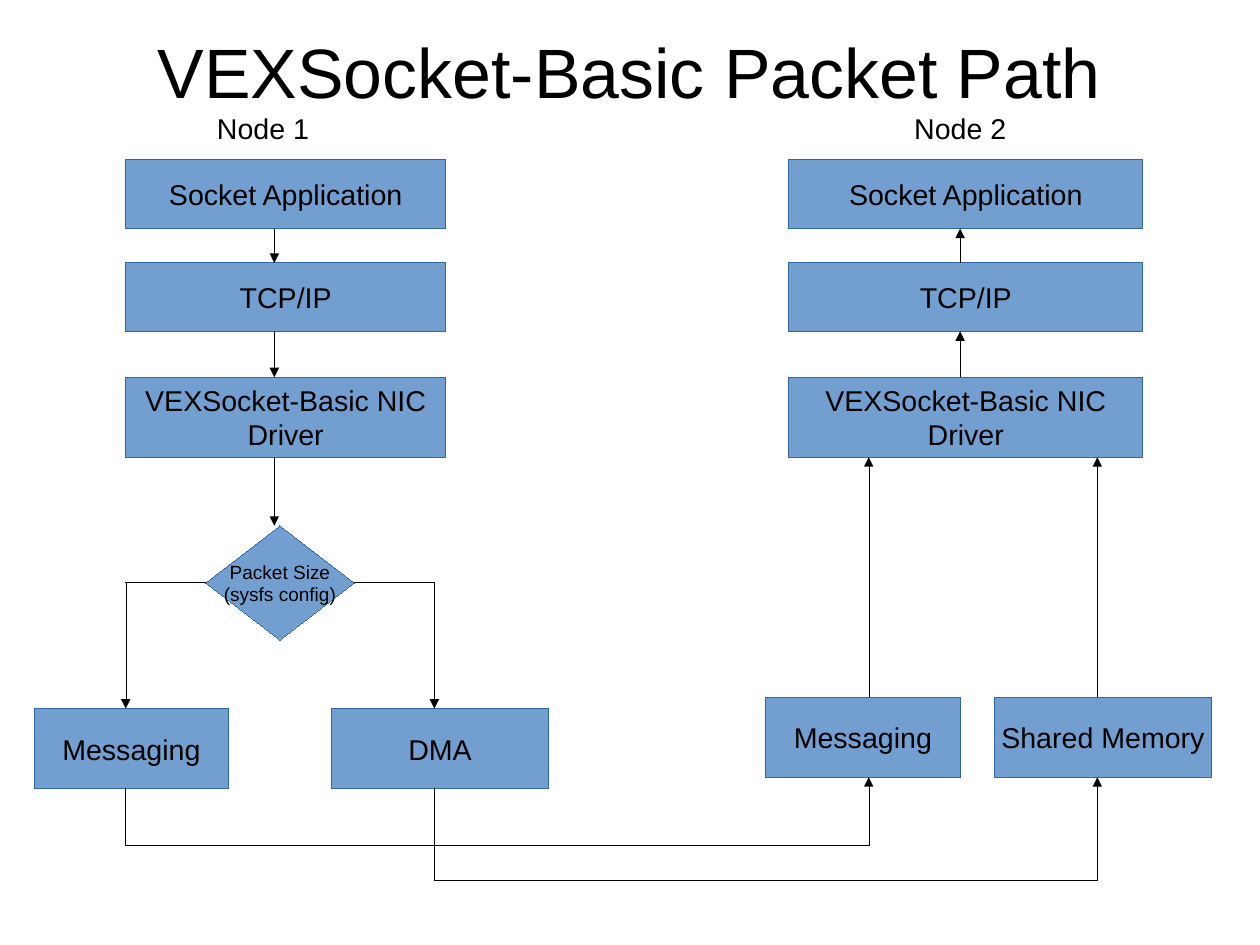
from itertools import pairwise

from lxml import etree
from pptx import Presentation
from pptx.dml.color import RGBColor
from pptx.enum.shapes import MSO_CONNECTOR, MSO_SHAPE
from pptx.enum.text import MSO_ANCHOR, PP_ALIGN
from pptx.oxml.ns import qn
from pptx.util import Cm, Pt

RECT, DIAMOND = MSO_SHAPE.RECTANGLE, MSO_SHAPE.DIAMOND
STRAIGHT = MSO_CONNECTOR.STRAIGHT
MIDDLE = MSO_ANCHOR.MIDDLE
LEFT, CENTER = PP_ALIGN.LEFT, PP_ALIGN.CENTER

BLACK = RGBColor(0x00, 0x00, 0x00)
BLUE = RGBColor(0x72, 0x9F, 0xCF)
DARK_BLUE = RGBColor(0x34, 0x65, 0xA4)
FONT = "Arial"
HAIRLINE = Pt(0.01)
STEP = Cm(2.54) // 10  # drawing grid: all boxes and arrows sit on it


def write(tf, text, size, align):
    tf.text = text
    for p in tf.paragraphs:
        p.alignment = align
        p.font.name = FONT
        p.font.size = Pt(size)
        p.font.color.rgb = BLACK


def draw_line(s, start, end, arrow):
    """Draw a hairline between two grid points, with an arrowhead if asked."""
    line = s.shapes.add_connector(STRAIGHT, *(v * STEP for v in start + end))
    line.line.color.rgb = BLACK
    line.line.width = HAIRLINE
    if arrow:
        ln = line.line._get_or_add_ln()
        etree.SubElement(ln, qn("a:tailEnd"), type="triangle")
    etree.SubElement(line._element.spPr, qn("a:effectLst"))


prs = Presentation()
prs.slide_width, prs.slide_height = Cm(28), Cm(21)
s = prs.slides.add_slide(prs.slide_layouts[5])

title = s.shapes.title
title.left, title.top, title.width, title.height = Cm(1.4), Cm(0.58), Cm(25.2), Cm(1.96)
tf = title.text_frame
tf.margin_left = tf.margin_right = tf.margin_top = tf.margin_bottom = 0
tf.vertical_anchor = MIDDLE
write(tf, "VEXSocket-Basic Packet Path", 44, CENTER)

# Boxes: shape, text, font size, then left, top, width, height in grid steps
boxes = [
    (DIAMOND, "Packet Size\n(sysfs config)", 12, 18, 46, 13, 10),
    (RECT, "Messaging", 18, 3, 62, 17, 7),
    (RECT, "DMA", 18, 29, 62, 19, 7),
    (RECT, "Messaging", 18, 67, 61, 17, 7),
    (RECT, "Shared Memory", 18, 87, 61, 19, 7),
]
layers = [
    ("Socket Application", 14, 6),
    ("TCP/IP", 23, 6),
    ("VEXSocket-Basic NIC\nDriver", 33, 7),
]
for left, width in ((11, 28), (69, 31)):
    for text, top, height in layers:
        boxes.append((RECT, text, 18, left, top, width, height))

for kind, text, size, *place in boxes:
    box = s.shapes.add_shape(kind, *(v * STEP for v in place))
    box.shadow.inherit = False
    box.fill.solid()
    box.fill.fore_color.rgb = BLUE
    box.line.color.rgb = DARK_BLUE
    box.line.width = HAIRLINE
    tf = box.text_frame
    tf.word_wrap = False
    tf.vertical_anchor = MIDDLE
    write(tf, text, size, CENTER)

# Each route ends in an arrowhead
routes = [
    [(24, 20), (24, 23)],
    [(24, 29), (24, 33)],
    [(24, 40), (24, 46)],
    [(18, 51), (11, 51), (11, 62)],
    [(31, 51), (38, 51), (38, 62)],
    [(11, 69), (11, 74), (76, 74), (76, 68)],
    [(38, 69), (38, 77), (96, 77), (96, 68)],
    [(76, 61), (76, 40)],
    [(96, 61), (96, 40)],
    [(84, 33), (84, 29)],
    [(84, 23), (84, 20)],
]
for route in routes:
    for start, end in pairwise(route):
        draw_line(s, start, end, arrow=end == route[-1])

for text, left in (("Node 1", 18), ("Node 2", 79)):
    label = s.shapes.add_textbox(left * STEP, Cm(2.34), 12 * STEP, Cm(0.97))
    label.text_frame.word_wrap = False
    write(label.text_frame, text, 18, LEFT)

prs.save("out.pptx")
